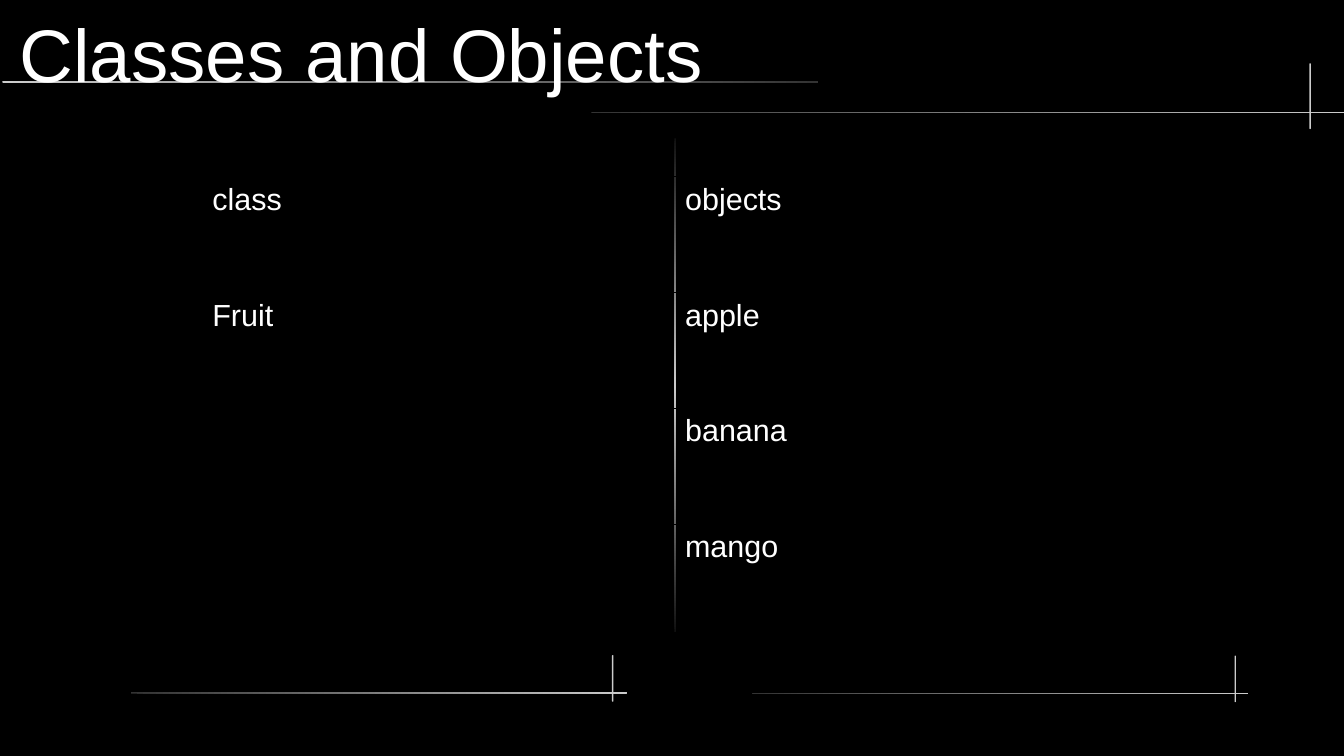
from copy import deepcopy

from lxml.etree import SubElement
from pptx import Presentation
from pptx.dml.color import RGBColor
from pptx.enum.shapes import MSO_SHAPE
from pptx.enum.text import MSO_ANCHOR
from pptx.oxml.ns import qn
from pptx.util import Cm, Pt

COLORS = {
    "black": "000000",
    "white": "FFFFFF",
    "light": "CCCCCC",
    "dark": "333333",
    "faint": "111111",
}
THIN = 0.03

# Left, top, width, height in cm, then the colours along the rule
RULES = [
    (0.05, 1.68, 16.99, 0.05, ["light", "dark"]),
    (12.32, 2.33, 15.77, THIN, ["dark", "light"]),
    (27.28, 1.32, THIN, 1.37, ["light"]),
    (15.67, 14.43, 10.34, THIN, ["dark", "light"]),
    (25.72, 13.66, THIN, 0.97, ["light"]),
    (2.72, 14.42, 10.34, THIN, ["dark", "light"]),
    (12.75, 13.65, THIN, 0.97, ["light"]),
    (14.05, 2.88, THIN, 10.29, ["faint", "light", "faint"]),
]

ROWS = [
    ("class", "objects"),
    ("Fruit", "apple"),
    ("", "banana"),
    ("", "mango"),
]


def rgb(name):
    return RGBColor.from_string(COLORS[name])


def set_gradient(s, colors, angle):
    s.fill.gradient()
    s.fill.gradient_angle = angle
    stop_list = s._element.spPr.find(qn("a:gradFill")).find(qn("a:gsLst"))
    while len(stop_list) < len(colors):
        stop_list.append(deepcopy(stop_list[-1]))
    for i, (stop, color) in enumerate(zip(s.fill.gradient_stops, colors)):
        stop.position = i / (len(colors) - 1)
        stop.color.rgb = rgb(color)


def add_rule(slide, left, top, width, height, colors):
    s = slide.shapes.add_shape(MSO_SHAPE.ROUNDED_RECTANGLE, Cm(left), Cm(top),
                               Cm(width), Cm(height))
    s.adjustments[0] = 0.5
    s.shadow.inherit = False
    s.line.fill.background()
    if len(colors) == 1:
        s.fill.solid()
        s.fill.fore_color.rgb = rgb(colors[0])
    else:
        set_gradient(s, colors, 0 if width > height else 270)


def write(tf, text, size):
    p = tf.paragraphs[0]
    r = p.add_run()
    r.text = text
    for name, value in {"name": "Arial", "size": Pt(size), "bold": False}.items():
        setattr(r.font, name, value)
    r.font.color.rgb = rgb("white")


def add_title(slide, text):
    tf = slide.shapes.add_textbox(Cm(0.41), Cm(0.2), Cm(26.49), Cm(1.8)).text_frame
    layout = {"word_wrap": True, "vertical_anchor": MSO_ANCHOR.MIDDLE,
              "margin_left": 0, "margin_top": 0,
              "margin_right": 0, "margin_bottom": 0}
    for name, value in layout.items():
        setattr(tf, name, value)
    write(tf, text, 44)


def set_borders(cell, color, width):
    tc_pr = cell._tc.get_or_add_tcPr()
    for i, side in enumerate(("lnL", "lnR", "lnT", "lnB")):
        ln = tc_pr.makeelement(qn(f"a:{side}"), {"w": str(Pt(width))})
        tc_pr.insert(i, ln)
        fill = SubElement(ln, qn("a:solidFill"))
        SubElement(fill, qn("a:srgbClr"), val=COLORS[color])


def add_word_table(slide, rows):
    table = slide.shapes.add_table(len(rows), 2, Cm(4.17), Cm(3.68),
                                   Cm(19.7), Cm(9.65)).table
    table.first_row = table.horz_banding = False
    for i, words in enumerate(rows):
        for j, word in enumerate(words):
            cell = table.cell(i, j)
            cell.fill.background()
            set_borders(cell, "black", 0.57)
            if word:
                write(cell.text_frame, word, 18)


def main():
    prs = Presentation()
    prs.slide_width, prs.slide_height = Cm(28), Cm(15.75)
    slide = prs.slides.add_slide(prs.slide_layouts[6])
    slide.background.fill.solid()
    slide.background.fill.fore_color.rgb = rgb("black")

    # Decorative rules
    for rule in RULES:
        add_rule(slide, *rule)

    # Title and table
    add_title(slide, "Classes and Objects")
    add_word_table(slide, ROWS)

    prs.save("out.pptx")


if __name__ == "__main__":
    main()
